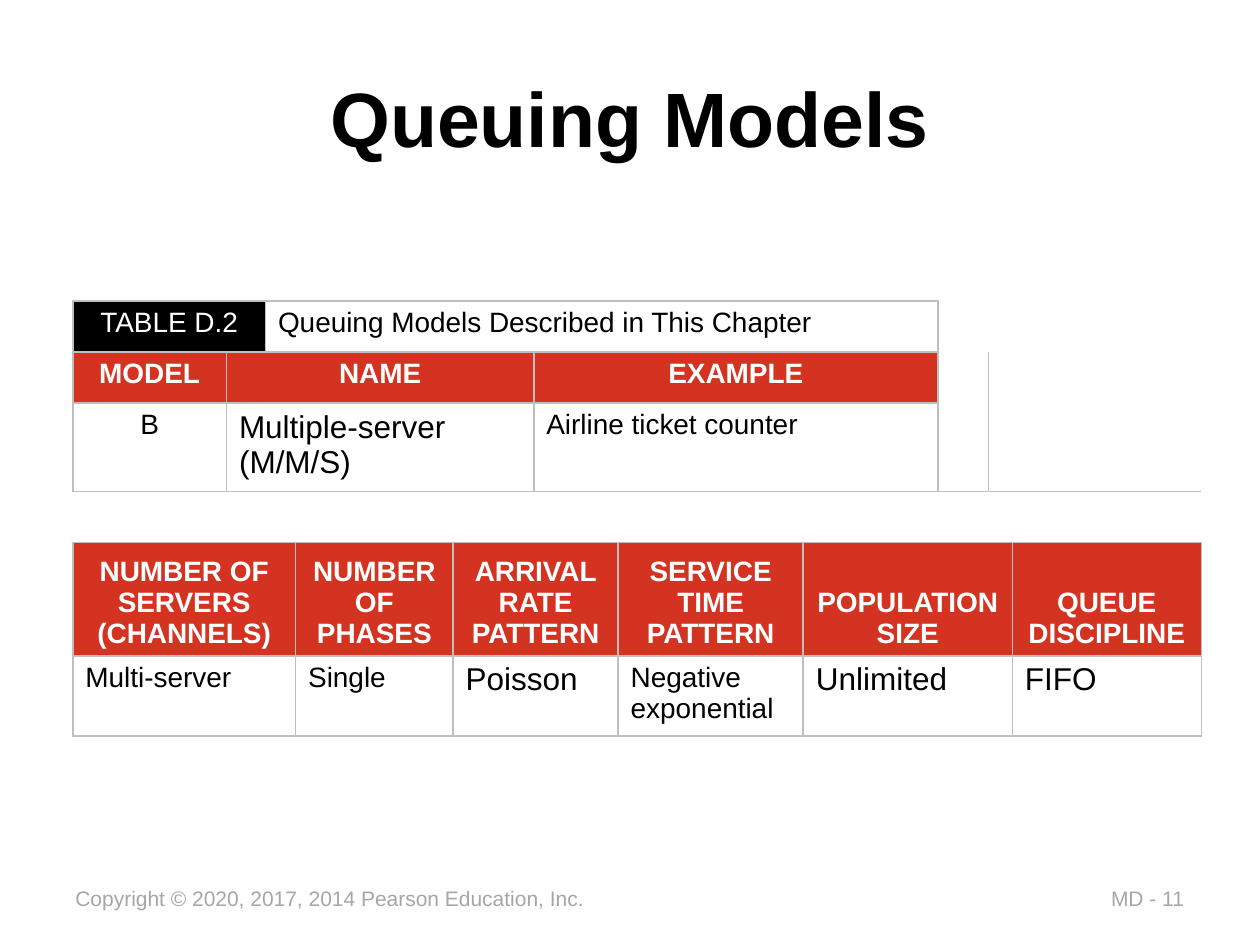
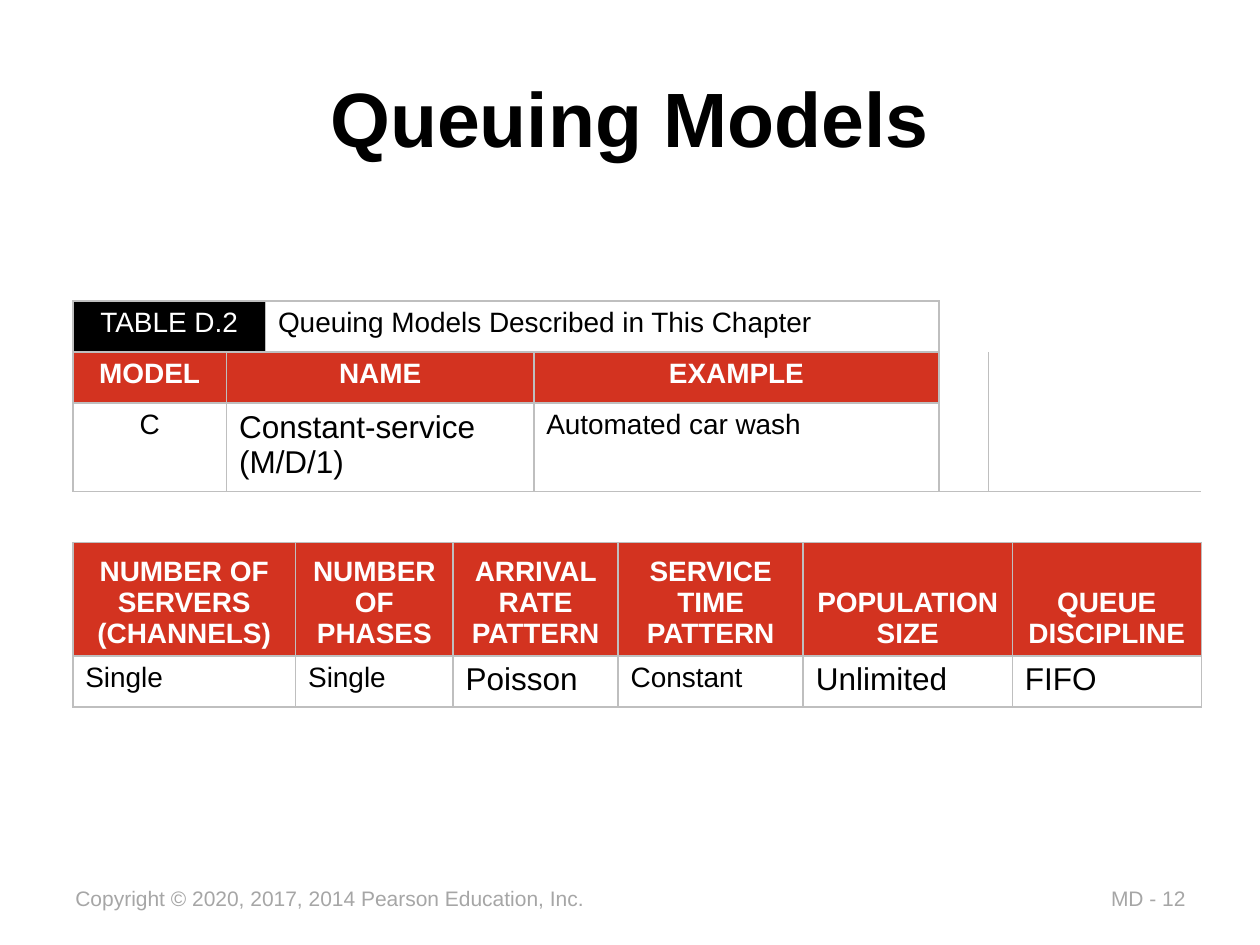
from lxml import etree
from pptx import Presentation
from pptx.dml.color import RGBColor
from pptx.enum.text import MSO_ANCHOR, MSO_AUTO_SIZE, PP_ALIGN
from pptx.oxml.ns import qn
from pptx.util import Pt

CENTER, LEFT = PP_ALIGN.CENTER, PP_ALIGN.LEFT
TOP, MIDDLE, BOTTOM = MSO_ANCHOR.TOP, MSO_ANCHOR.MIDDLE, MSO_ANCHOR.BOTTOM
NO_AUTOFIT = MSO_AUTO_SIZE.NONE

BLACK = RGBColor(0x00, 0x00, 0x00)
WHITE = RGBColor(0xFF, 0xFF, 0xFF)
RED = RGBColor(0xD3, 0x33, 0x20)
FOOTER_GRAY = RGBColor(0xA6, 0xA6, 0xA6)
BORDER_GRAY = "BFBFBF"
FONT = "Arial"
PLAIN_TABLE_STYLE = "{2D5ABB26-0587-4C30-8999-92F81FD0307C}"

ROW_HEIGHTS = [29.2, 29.2, 50.4, 29.2, 64.6, 29.2]
COLUMN_WIDTHS = [87.8, 22.3, 9.4, 90, 46.1, 48.2, 105.8, 77, 28.8, 13.7, 17.3, 90.7]
TOP_SPANS = [(0, 0), (1, 4), (5, 7)]
BOTTOM_SPANS = [(0, 2), (3, 3), (4, 5), (6, 6), (7, 9), (10, 11)]
BLANK_SPANS = [(0, 8, 11), (1, 9, 10), (2, 9, 10), (3, 0, 11)]
TOP_HEADS = ["MODEL", "NAME", "EXAMPLE"]
BOTTOM_HEADS = ["NUMBER OF SERVERS (CHANNELS)", "NUMBER OF PHASES", "ARRIVAL RATE PATTERN",
                "SERVICE TIME PATTERN", "POPULATION SIZE", "QUEUE DISCIPLINE"]
LARGE_WORDS = ["Poisson", "Unlimited", "FIFO"]

MODELS = [
    {"page_label": "MD - 11", "example_shift": 0,
     "top": ["B", "Multiple-server\n(M/M/S)", "Airline ticket counter"],
     "bottom": ["Multi-server", "Single", "Poisson", "Negative exponential", "Unlimited", "FIFO"]},
    {"page_label": "MD - 12", "example_shift": 0.7,
     "top": ["C", "Constant-service (M/D/1)", "Automated car wash"],
     "bottom": ["Single", "Single", "Poisson", "Constant", "Unlimited", "FIFO"]},
]


def write(frame, text, size=16, color=BLACK, bold=False, align=LEFT, anchor=TOP):
    frame.text = text
    frame.vertical_anchor = anchor
    for para in frame.paragraphs:
        para.alignment = align
        for span in para.runs:
            span.font.name = FONT
            span.font.size = Pt(size)
            span.font.bold = bold
            span.font.color.rgb = color


def draw_borders(cell, sides="LRTB"):
    properties = cell._tc.get_or_add_tcPr()
    for side in sides:
        line = etree.SubElement(properties, qn(f"a:ln{side}"), w=str(Pt(1)))
        fill = etree.SubElement(line, qn("a:solidFill"))
        etree.SubElement(fill, qn("a:srgbClr"), val=BORDER_GRAY)


deck = Presentation()
deck.slide_width, deck.slide_height = Pt(720), Pt(540)

for model in MODELS:
    page = deck.slides.add_slide(deck.slide_layouts[5])

    for text, left, width in [
        (model["page_label"], 627.8, 59),
        ("Copyright © 2020, 2017, 2014 Pearson Education, Inc.", 36, 308),
    ]:
        box = page.shapes.add_textbox(Pt(left), Pt(502.6), Pt(width), Pt(21.6))
        box.text_frame.word_wrap = False
        write(box.text_frame, text, size=12, color=FOOTER_GRAY)

    title = page.shapes.title
    title.left, title.top, title.width, title.height = Pt(36), Pt(21.6), Pt(648), Pt(90)
    title.text_frame.auto_size = NO_AUTOFIT
    write(title.text_frame, "Queuing Models", size=44, bold=True, align=CENTER, anchor=MIDDLE)

    table = page.shapes.add_table(
        len(ROW_HEIGHTS), len(COLUMN_WIDTHS), Pt(41.6), Pt(172),
        Pt(sum(COLUMN_WIDTHS)), Pt(sum(ROW_HEIGHTS))).table
    table.first_row = table.horz_banding = False
    table._tbl.tblPr.find(qn("a:tableStyleId")).text = PLAIN_TABLE_STYLE
    for row, height in zip(table.rows, ROW_HEIGHTS):
        row.height = Pt(height)
    for column, width in zip(table.columns, COLUMN_WIDTHS):
        column.width = Pt(width)
    table.columns[7].width = Pt(COLUMN_WIDTHS[7] + model["example_shift"])
    table.columns[8].width = Pt(COLUMN_WIDTHS[8] - model["example_shift"])

    head = {"color": WHITE, "bold": True, "align": CENTER}
    entries = [
        (0, (0, 1), "TABLE D.2", BLACK, {"color": WHITE, "align": CENTER}),
        (0, (2, 7), "Queuing Models Described in This Chapter", None, {}),
    ]
    for span, text in zip(TOP_SPANS, TOP_HEADS):
        entries.append((1, span, text, RED, head))
    top_formats = [{"align": CENTER}, {"size": 18}, {}]
    for span, text, style in zip(TOP_SPANS, model["top"], top_formats):
        entries.append((2, span, text, None, style))
    for span, text in zip(BOTTOM_SPANS, BOTTOM_HEADS):
        entries.append((4, span, text, RED, {**head, "anchor": BOTTOM}))
    for span, text in zip(BOTTOM_SPANS, model["bottom"]):
        entries.append((5, span, text, None, {"size": 18 if text in LARGE_WORDS else 16}))

    for row, (first, last), text, fill, style in entries:
        for column in range(first, last + 1):
            draw_borders(table.cell(row, column))
        cell = table.cell(row, first)
        if last > first:
            cell.merge(table.cell(row, last))
        if fill is None:
            cell.fill.background()
        else:
            cell.fill.solid()
            cell.fill.fore_color.rgb = fill
        write(cell.text_frame, text, **style)
        cell.vertical_anchor = style.get("anchor", TOP)

    for row in range(3):
        draw_borders(table.cell(row, 8), "L")
    for column in range(len(COLUMN_WIDTHS)):
        draw_borders(table.cell(3, column), "TB")
    for row, first, last in BLANK_SPANS:
        table.cell(row, first).merge(table.cell(row, last))

deck.save("out.pptx")
